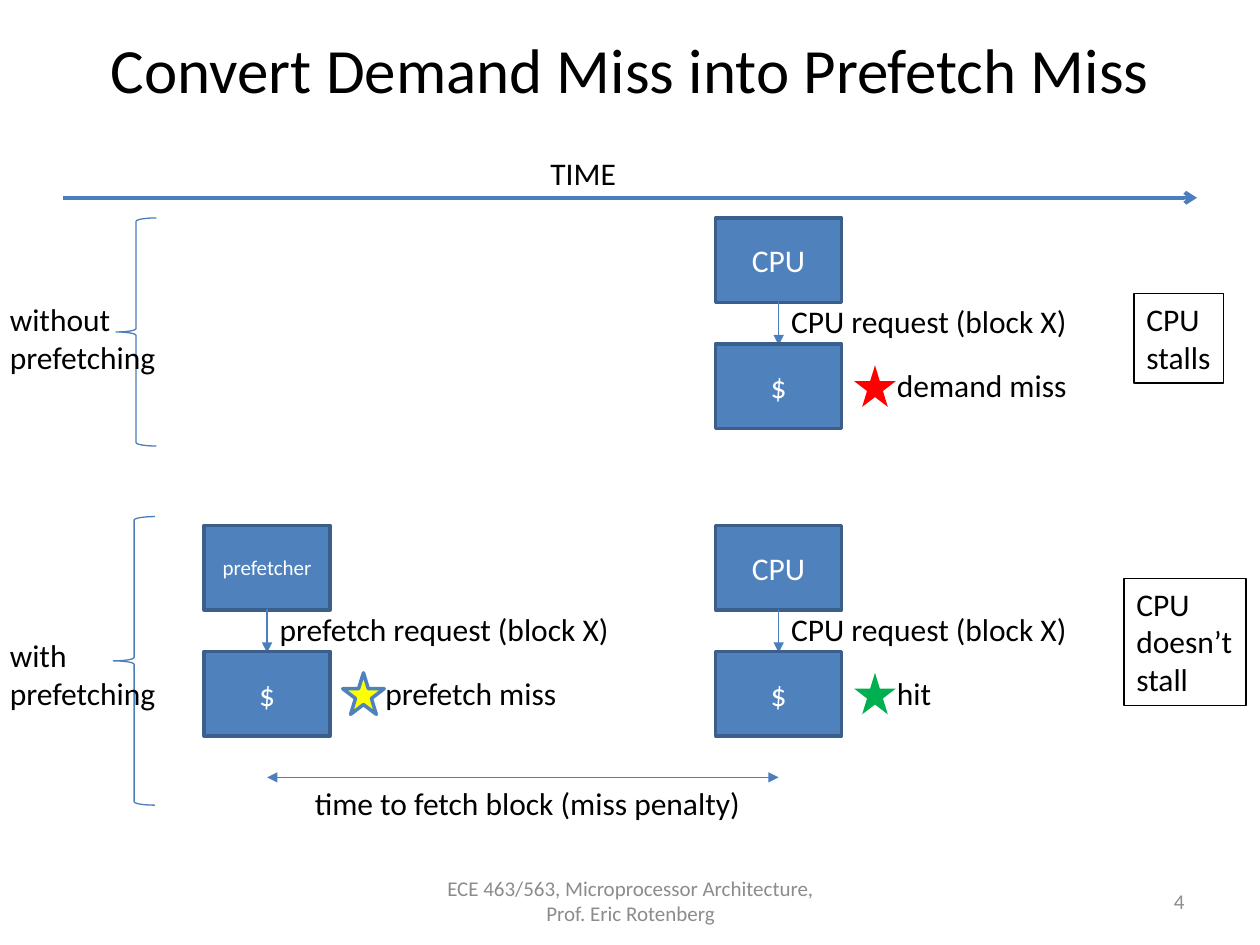
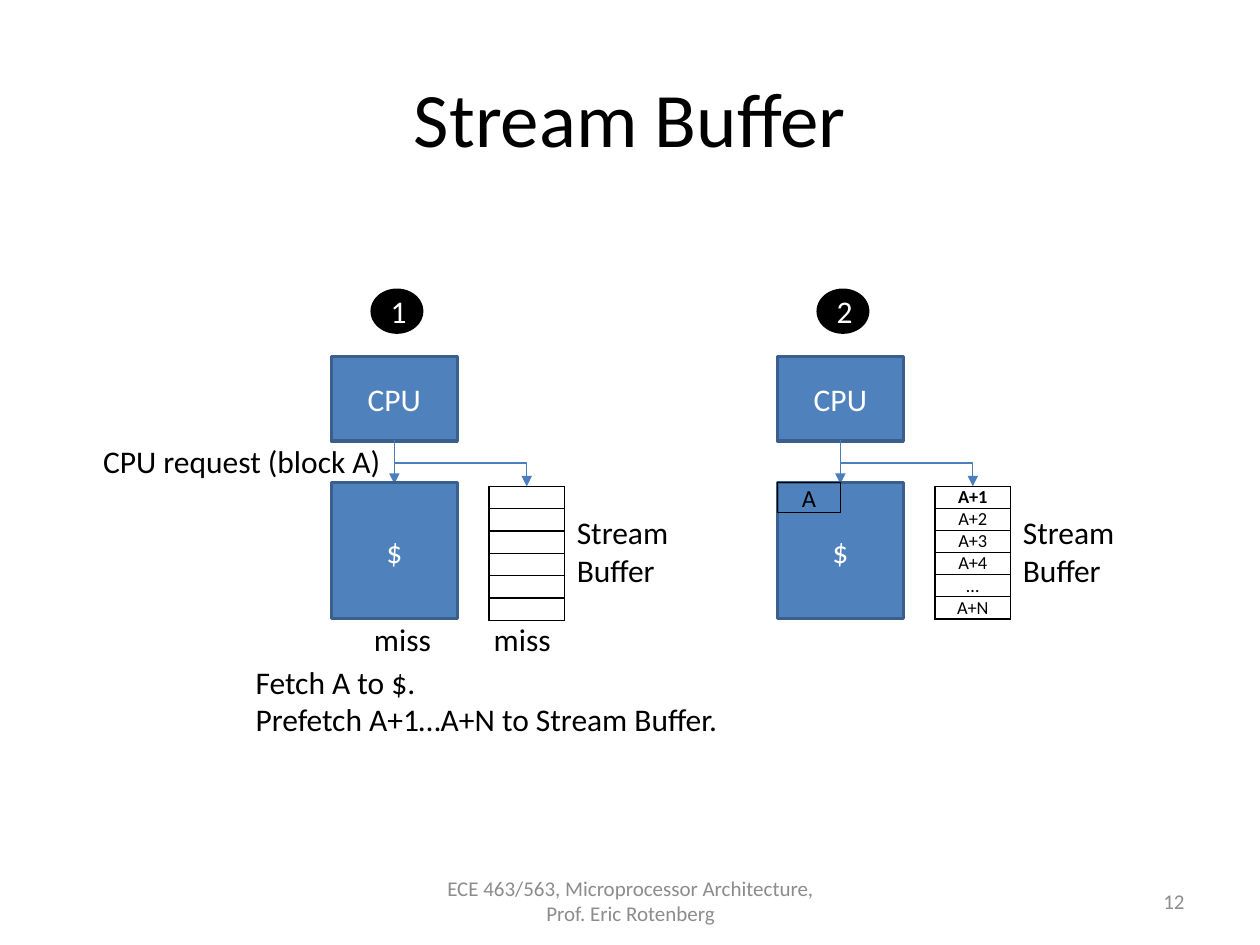
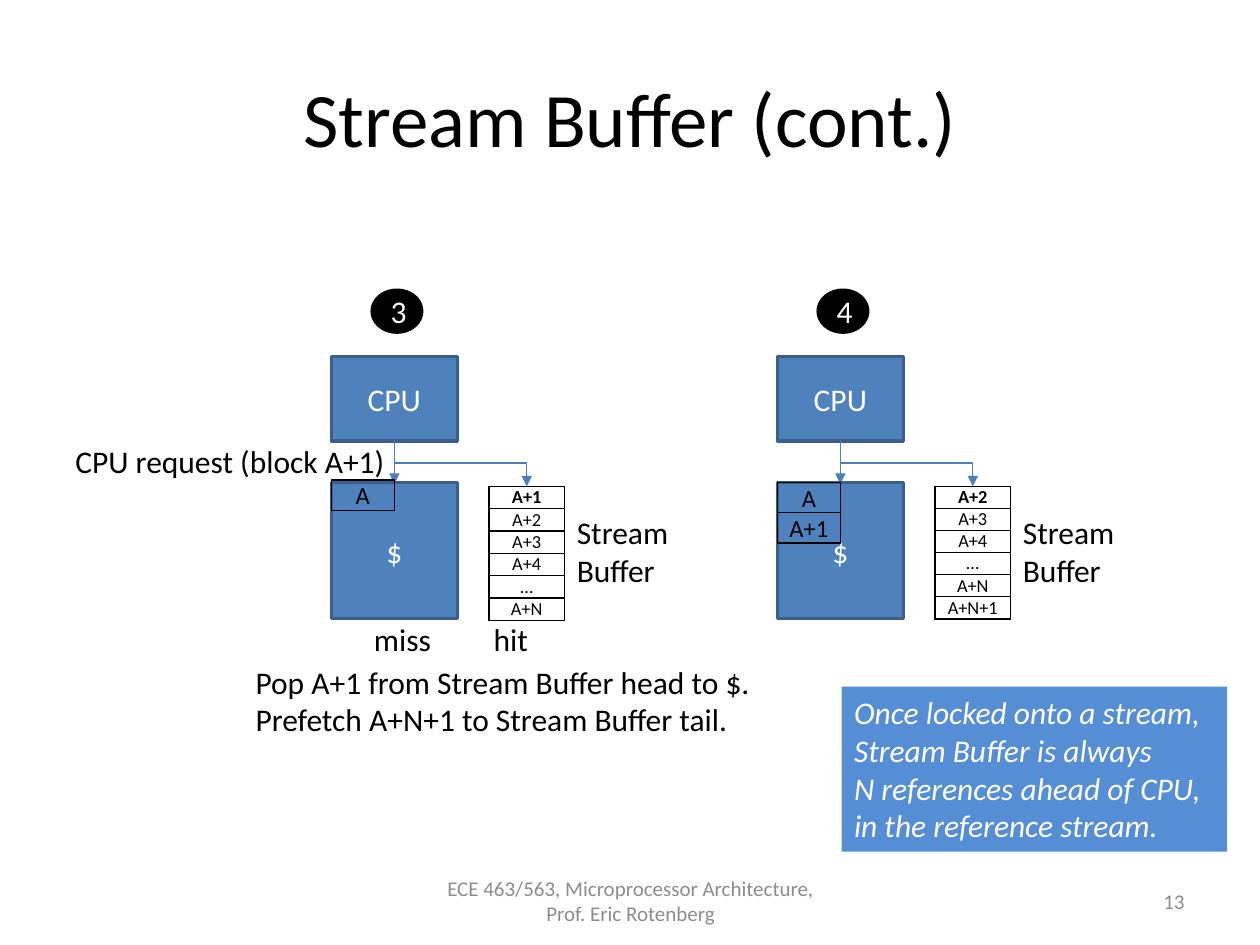
import dataclasses

import lxml.etree
import pptx
import pptx.dml.color
import pptx.enum.shapes
import pptx.enum.text
import pptx.oxml
import pptx.oxml.ns
import pptx.util

Inches = pptx.util.Inches
SHAPE = pptx.enum.shapes.MSO_SHAPE
CONNECTOR = pptx.enum.shapes.MSO_CONNECTOR
ALIGN = pptx.enum.text.PP_ALIGN
ANCHOR = pptx.enum.text.MSO_ANCHOR
AUTO_SIZE = pptx.enum.text.MSO_AUTO_SIZE


@dataclasses.dataclass(frozen=True)
class Theme:
    font: str = "Calibri"
    black: str = "000000"
    white: str = "FFFFFF"
    gray: str = "8C8C8C"
    block: str = "4F81BD"
    block_edge: str = "3A5F8C"
    arrow: str = "4B7EBC"
    callout: str = "558ED5"
    red: str = "FF0000"
    yellow: str = "FFFF00"
    green: str = "00B050"
    title_size: float = 44
    long_title_size: float = 36
    body_size: float = 18
    slot_size: float = 14
    small_size: float = 12
    entry_size: float = 10.5
    thin: float = 0.75
    entry_line: float = 1
    thick: float = 2
    timeline: float = 2.25


THEME = Theme()
FOOTER = "ECE 463/563, Microprocessor Architecture, Prof. Eric Rotenberg"


def rgb(color):
    return pptx.dml.color.RGBColor.from_string(color)


def write_text(frame, text, size=THEME.body_size, color=THEME.black, bold=False,
               italic=False, align=ALIGN.LEFT, anchor=ANCHOR.TOP):
    frame.vertical_anchor = anchor
    paragraphs = [text] if isinstance(text, str) else text
    for index, content in enumerate(paragraphs):
        paragraph = frame.add_paragraph() if index else frame.paragraphs[0]
        paragraph.text = content
        paragraph.alignment = align
        for run in paragraph.runs:
            run.font.name = THEME.font
            run.font.size = pptx.util.Pt(size)
            run.font.color.rgb = rgb(color)
            run.font.bold = bold
            run.font.italic = italic


def paint(shape, fill=None, line=None, line_width=THEME.thin):
    if fill:
        shape.fill.solid()
        shape.fill.fore_color.rgb = rgb(fill)
    else:
        shape.fill.background()
    if line:
        shape.line.color.rgb = rgb(line)
        shape.line.width = pptx.util.Pt(line_width)
    else:
        shape.line.fill.background()


def add_label(slide, left, top, width, height, text, fill=None, line=None, wrap=False, **text_format):
    shape = slide.shapes.add_textbox(Inches(left), Inches(top), Inches(width), Inches(height))
    paint(shape, fill, line)
    shape.text_frame.word_wrap = wrap
    shape.text_frame.auto_size = AUTO_SIZE.NONE if wrap else AUTO_SIZE.SHAPE_TO_FIT_TEXT
    write_text(shape.text_frame, text, **text_format)
    return shape


def add_figure(slide, kind, left, top, width, height, text="", size=THEME.body_size, **colors):
    shape = slide.shapes.add_shape(kind, Inches(left), Inches(top), Inches(width), Inches(height))
    shape.shadow.inherit = False
    paint(shape, **colors)
    if text:
        write_text(shape.text_frame, text, size=size, color=THEME.white,
                   align=ALIGN.CENTER, anchor=ANCHOR.MIDDLE)
    return shape


def add_block(slide, left, top, height, text, size=THEME.body_size):
    add_figure(slide, SHAPE.RECTANGLE, left, top, 1, height, text, size,
               fill=THEME.block, line=THEME.block_edge, line_width=THEME.thick)


def add_arrow(slide, start, end, kind=CONNECTOR.STRAIGHT, width=THEME.thin, head=None, tail="triangle"):
    points = [Inches(value) for value in (*start, *end)]
    connector = slide.shapes.add_connector(kind, *points)
    connector.line.color.rgb = rgb(THEME.arrow)
    connector.line.width = pptx.util.Pt(width)
    line = connector.line._get_or_add_ln()
    for tag, style in (("a:headEnd", head), ("a:tailEnd", tail)):
        if style:
            lxml.etree.SubElement(line, pptx.oxml.ns.qn(tag), type=style)
    lxml.etree.SubElement(connector._element.spPr, pptx.oxml.ns.qn("a:effectLst"))
    return connector


def add_down_elbow(slide, start, end):
    across, down = end[0] - start[0], end[1] - start[1]
    left = (start[0] + end[0] - down) / 2
    top = (start[1] + end[1] - across) / 2
    connector = add_arrow(slide, (left, top), (left + down, top + across), CONNECTOR.ELBOW)
    transform = connector._element.spPr.find(pptx.oxml.ns.qn("a:xfrm"))
    transform.set("rot", "16200000")
    transform.set("flipH", "1")


def add_memory_pair(slide, left, top, name, name_size=THEME.body_size, cache_height=0.67):
    center = left + 0.5
    add_block(slide, left, top, 0.67, name, name_size)
    add_arrow(slide, (center, top + 0.66), (center, top + 1.01))
    add_block(slide, left, top + 1, cache_height, "$")


def add_access(slide, left, top, requester, request, request_width, outcome, outcome_width,
               star_fill, star_line=None, name_size=THEME.body_size):
    add_memory_pair(slide, left, top, requester, name_size)
    add_label(slide, left + 0.5, top + 0.62, request_width, 0.4, request)
    add_figure(slide, SHAPE.STAR_5_POINT, left + 1.1, top + 1.17, 0.33, 0.33,
               fill=star_fill, line=star_line, line_width=THEME.thick)
    add_label(slide, left + 1.34, top + 1.13, outcome_width, 0.4, outcome)


def add_case(slide, brace, label_top, label):
    add_figure(slide, SHAPE.LEFT_BRACE, *brace, line=THEME.arrow)
    add_label(slide, -0.02, label_top, 1.37, 0.71, label)


def border_cell(cell):
    properties = cell._tc.get_or_add_tcPr()
    for position, side in enumerate(("lnL", "lnR", "lnT", "lnB")):
        border = pptx.oxml.parse_xml(
            f'<a:{side} {pptx.oxml.ns.nsdecls("a")} w="{pptx.util.Pt(THEME.entry_line)}">'
            f'<a:solidFill><a:srgbClr val="{THEME.black}"/></a:solidFill></a:{side}>')
        properties.insert(position, border)


def add_buffer_table(slide, left, top, entries):
    row_height = 0.175
    table = slide.shapes.add_table(len(entries), 1, Inches(left), Inches(top), Inches(0.6),
                                   Inches(row_height * len(entries))).table
    table.first_row = table.horz_banding = False
    for index, entry in enumerate(entries):
        cell = table.cell(index, 0)
        cell.margin_left = cell.margin_right = cell.margin_top = cell.margin_bottom = 0
        cell.fill.background()
        border_cell(cell)
        write_text(cell.text_frame, entry, size=THEME.entry_size, bold=index == 0, align=ALIGN.CENTER)
        cell.vertical_anchor = ANCHOR.MIDDLE
        if not entry:
            ending = cell.text_frame.paragraphs[0]._p.get_or_add_endParaRPr()
            ending.set("sz", str(int(THEME.entry_size * 100)))


def add_cache_slot(slide, left, top, text):
    slot = add_label(slide, left, top, 0.5, 0.24, "", line=THEME.black, wrap=True)
    frame = slot.text_frame
    frame.margin_left = frame.margin_right = frame.margin_top = frame.margin_bottom = 0
    write_text(frame, text, size=THEME.slot_size, align=ALIGN.CENTER, anchor=ANCHOR.MIDDLE)


def add_step(slide, number, left, entries, slots=(), slot_top=3.83):
    center = left + 0.5
    add_memory_pair(slide, left, 2.83, "CPU", cache_height=1.08)
    add_buffer_table(slide, left + 1.25, 3.86, entries)
    add_down_elbow(slide, (center, 3.49), (left + 1.55, 3.86))
    add_label(slide, left + 1.85, 4.02, 0.93, 0.71, "Stream\nBuffer")
    add_figure(slide, SHAPE.OVAL, left + 0.31, 2.29, 0.42, 0.36, str(number), fill=THEME.black)
    for index, slot in enumerate(slots):
        add_cache_slot(slide, left, slot_top + 0.24 * index, slot)


def add_request_outcome(slide, request, request_left, request_width, buffer_outcome,
                        buffer_width, actions, actions_width):
    add_label(slide, request_left, 3.46, request_width, 0.4, request)
    add_label(slide, 2.87, 4.87, 0.66, 0.4, "miss")
    add_label(slide, 3.82, 4.87, buffer_width, 0.4, buffer_outcome)
    add_label(slide, 1.93, 5.21, actions_width, 0.71, actions)


def start_slide(presentation, title, number, top=0.3, height=1.25, size=THEME.title_size):
    slide = presentation.slides.add_slide(presentation.slide_layouts[5])
    shape = slide.shapes.title
    shape.left, shape.top, shape.width, shape.height = map(Inches, (0.5, top, 9, height))
    write_text(shape.text_frame, title, size=size, align=ALIGN.CENTER, anchor=ANCHOR.MIDDLE)
    for left, width, text, align in ((3.42, 3.17, FOOTER, ALIGN.CENTER),
                                     (7.17, 2.33, str(number), ALIGN.RIGHT)):
        add_label(slide, left, 6.95, width, 0.4, text, wrap=True, size=THEME.small_size,
                  color=THEME.gray, align=align, anchor=ANCHOR.MIDDLE)
    return slide


def build_timeline(presentation):
    slide = start_slide(presentation, "Convert Demand Miss into Prefetch Miss", 4,
                        top=0.08, height=0.93, size=THEME.long_title_size)
    add_arrow(slide, (0.5, 1.57), (9.5, 1.57), width=THEME.timeline, tail="arrow")
    add_label(slide, 4.27, 1.17, 0.73, 0.4, "TIME")
    cpu_request = ("CPU", "CPU request (block X)", 2.42)
    add_access(slide, 5.68, 1.73, *cpu_request, "demand miss", 1.56, THEME.red)
    add_access(slide, 1.62, 4.17, "prefetcher", "prefetch request (block X)", 2.85,
               "prefetch miss", 1.57, THEME.yellow, THEME.block, THEME.small_size)
    add_access(slide, 5.68, 4.17, *cpu_request, "hit", 0.48, THEME.green)
    add_arrow(slide, (2.12, 6.17), (6.18, 6.17), head="triangle")
    add_label(slide, 2.4, 6.17, 3.62, 0.4, "time to fetch block (miss penalty)")
    add_case(slide, (0.92, 1.73, 0.32, 1.81), 2.33, "without \nprefetching")
    add_case(slide, (0.9, 4.1, 0.33, 2.29), 5, "with \nprefetching")
    add_label(slide, 9, 2.33, 0.71, 0.71, "CPU\nstalls", line=THEME.black)
    add_label(slide, 8.92, 4.59, 0.97, 1.01, "CPU\ndoesn’t\nstall", line=THEME.black)


def build_stream_buffer(presentation, first_entries):
    slide = start_slide(presentation, "Stream Buffer", 12)
    add_step(slide, 1, 2.63, [""] * 6)
    add_step(slide, 2, 6.17, first_entries, ["A"])
    add_request_outcome(slide, "CPU request (block A)", 0.72, 2.43, "miss", 0.66,
                        ["Fetch A to $.", "Prefetch A+1…A+N to Stream Buffer."], 3.91)


def build_stream_buffer_continued(presentation, first_entries):
    slide = start_slide(presentation, "Stream Buffer (cont.)", 13)
    add_step(slide, 3, 2.63, first_entries, ["A"], slot_top=3.81)
    add_step(slide, 4, 6.17, first_entries[1:] + ["A+N+1"], ["A", "A+1"])
    add_request_outcome(slide, "CPU request (block A+1)", 0.5, 2.68, "hit", 0.48,
                        ["Pop A+1 from Stream Buffer head to $.",
                         "Prefetch A+N+1 to Stream Buffer tail."], 4.24)
    add_label(slide, 6.68, 5.45, 3.06, 1.31,
              "Once locked onto a stream, \nStream Buffer is always\n"
              "N references ahead of CPU,\nin the reference stream.",
              fill=THEME.callout, color=THEME.white, italic=True)


def main():
    presentation = pptx.Presentation()
    presentation.slide_width, presentation.slide_height = Inches(10), Inches(7.5)
    first_entries = ["A+1", "A+2", "A+3", "A+4", "…", "A+N"]
    build_timeline(presentation)
    build_stream_buffer(presentation, first_entries)
    build_stream_buffer_continued(presentation, first_entries)
    presentation.save("out.pptx")


if __name__ == "__main__":
    main()
